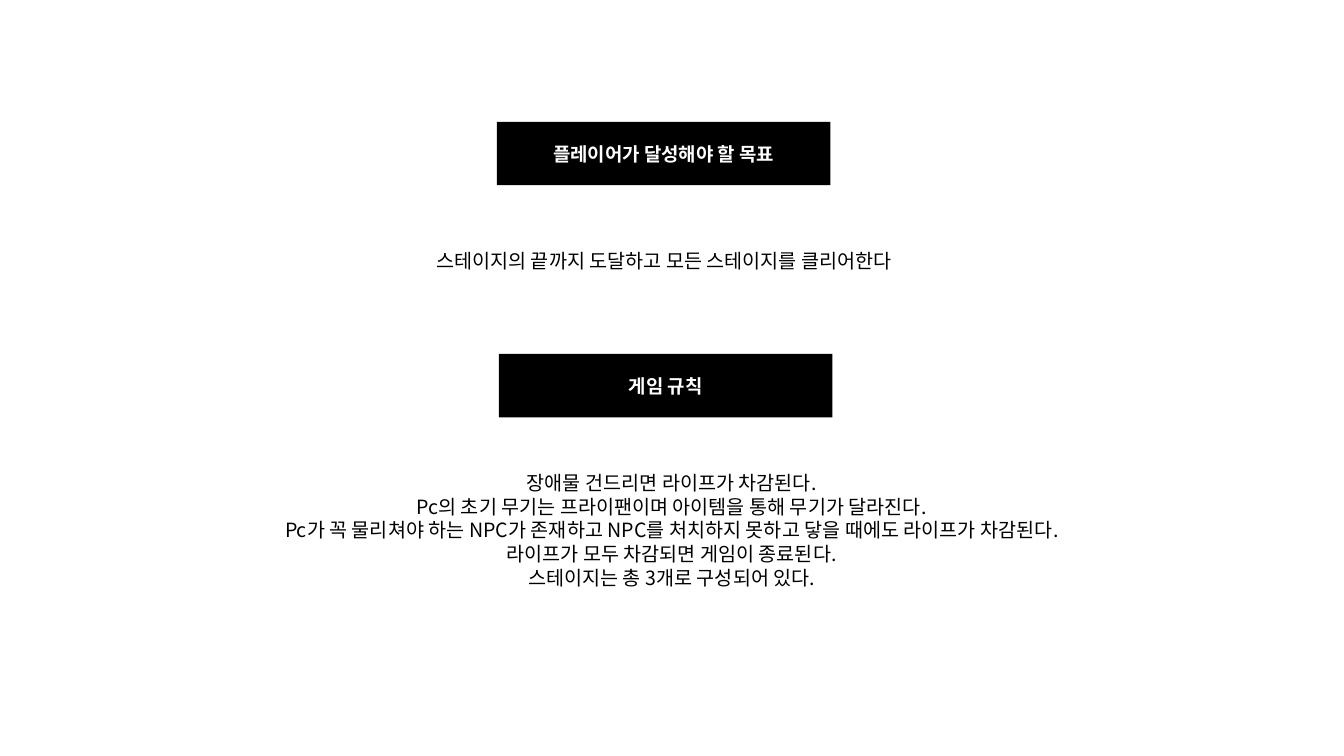
"""Build a slide with a game's player goal and rules."""
from pptx import Presentation
from pptx.dml.color import RGBColor
from pptx.enum.shapes import MSO_SHAPE
from pptx.enum.text import MSO_ANCHOR, MSO_AUTO_SIZE, PP_ALIGN
from pptx.oxml.ns import qn
from pptx.util import Cm, Pt

BLACK = RGBColor(0x00, 0x00, 0x00)
WHITE = RGBColor(0xFF, 0xFF, 0xFF)
FONT = "Noto Sans CJK KR"
RECTANGLE = MSO_SHAPE.RECTANGLE
MIDDLE = MSO_ANCHOR.MIDDLE
CENTER = PP_ALIGN.CENTER
GROW = MSO_AUTO_SIZE.SHAPE_TO_FIT_TEXT
BLANK_LAYOUT = 6

GOAL = ["스테이지의 끝까지 도달하고 모든 스테이지를 클리어한다"]
RULES = [
    "장애물 건드리면 라이프가 차감된다.",
    "Pc의 초기 무기는 프라이팬이며 아이템을 통해 무기가 달라진다.",
    "Pc가 꼭 물리쳐야 하는 NPC가 존재하고 NPC를 처치하지 못하고 닿을 때에도 라이프가 차감된다.",
    "라이프가 모두 차감되면 게임이 종료된다.",
    "스테이지는 총 3개로 구성되어 있다.",
]


def write_lines(frame, lines, *, size, color, bold=False, spacing=None):
    """Write centred lines into a text frame, one paragraph each."""
    for index, line in enumerate(lines):
        paragraph = frame.add_paragraph() if index else frame.paragraphs[0]
        paragraph.alignment = CENTER
        paragraph.line_spacing = spacing
        run = paragraph.add_run()
        run.text = line
        run.font.size = Pt(size)
        run.font.bold = bold
        run.font.color.rgb = color
        run.font.name = FONT
        east_asian = run.font._element.makeelement(qn("a:ea"), {"typeface": FONT})
        run.font._element.append(east_asian)


def add_heading(slide, heading, left, top):
    """Add a black bar with a white heading."""
    bar = slide.shapes.add_shape(RECTANGLE, Cm(left), Cm(top), Cm(8.41), Cm(1.6))
    bar.shadow.inherit = False
    bar.fill.solid()
    bar.fill.fore_color.rgb = BLACK
    bar.line.fill.background()
    bar.text_frame.vertical_anchor = MIDDLE
    write_lines(bar.text_frame, [heading], size=13.5, color=WHITE, bold=True)


def add_description(slide, lines, left, top, width, height):
    """Add a growing, unwrapped block of centred text."""
    block = slide.shapes.add_textbox(Cm(left), Cm(top), Cm(width), Cm(height))
    frame = block.text_frame
    frame.word_wrap = False
    frame.auto_size = GROW
    write_lines(frame, lines, size=14, color=BLACK, spacing=Pt(17))


def main():
    """Build and save the presentation."""
    presentation = Presentation()
    presentation.slide_width = Cm(33.87)
    presentation.slide_height = Cm(19.05)
    slide = presentation.slides.add_slide(presentation.slide_layouts[BLANK_LAYOUT])
    add_heading(slide, "플레이어가 달성해야 할 목표", 12.52, 3.07)
    add_description(slide, GOAL, 10.06, 6.15, 13.36, 0.86)
    add_heading(slide, "게임 규칙", 12.57, 8.92)
    add_description(slide, RULES, 5.87, 11.73, 22.12, 3.25)
    presentation.save("out.pptx")


if __name__ == "__main__":
    main()
